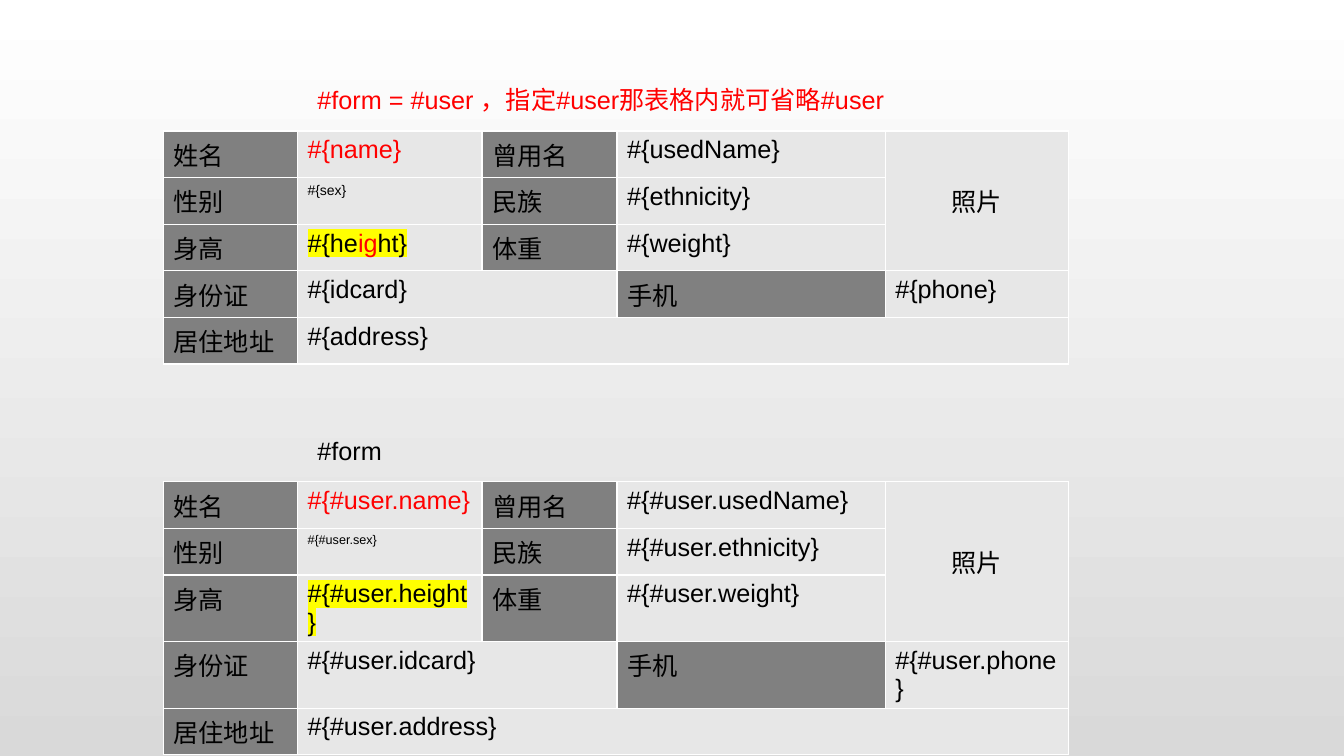
from lxml import etree
from pptx import Presentation
from pptx import util as u
from pptx.dml import color
from pptx.enum import text
from pptx.oxml import ns

COLUMN_WIDTHS = [1.33, 1.83, 1.34, 2.66, 1.82]
FORM_ROWS = [
    ["姓名", "name", "曾用名", "usedName", "照片"],
    ["性别", "sex", "民族", "ethnicity", None],
    ["身高", "height", "体重", "weight", None],
    ["身份证", "idcard", None, "手机", "phone"],
    ["居住地址", "address", None, None, None],
]
LABELS = {"姓名", "曾用名", "性别", "民族", "身高", "体重", "身份证", "手机", "居住地址"}
MERGES = [((0, 4), (2, 4)), ((3, 1), (3, 2)), ((4, 1), (4, 4))]
BLACK, RED, WHITE, YELLOW = "000000", "FF0000", "FFFFFF", "FFFF00"
LABEL_GREY, VALUE_GREY = "808080", "E7E7E7"


def rgb(value):
    return color.RGBColor.from_string(value)


def add_solid(parent, tag, value):
    holder = etree.SubElement(parent, ns.qn(tag))
    etree.SubElement(holder, ns.qn("a:srgbClr"), val=value)


def style_paragraph(para, size=18, hue=BLACK):
    para.font.name = "Arial"
    para.font.size = u.Pt(size)
    para.font.color.rgb = rgb(hue)


def add_border(cell):
    properties = cell._tc.get_or_add_tcPr()
    for side in ("L", "R", "T", "B"):
        line = etree.SubElement(properties, ns.qn(f"a:ln{side}"), w=str(u.Pt(1)))
        add_solid(line, "a:solidFill", WHITE)


def fill_cell(cell, value):
    add_border(cell)
    cell.fill.solid()
    cell.fill.fore_color.rgb = rgb(value)


def add_highlighted(para, pieces):
    for words, hue in pieces:
        span = para.add_run()
        span.text = words
        span.font.color.rgb = rgb(hue)
        add_solid(span.font._element, "a:highlight", YELLOW)


def write_cell(cell, entry, prefix, sex_size, height_pieces):
    para = cell.text_frame.paragraphs[0]
    if entry == "height":
        add_highlighted(para, height_pieces)
    elif entry in LABELS or entry == "照片":
        para.text = entry
    else:
        para.text = f"#{{{prefix}{entry}}}"
    style_paragraph(para, sex_size if entry == "sex" else 18,
                    RED if entry == "name" else BLACK)
    if entry == "照片":
        para.alignment = text.PP_ALIGN.CENTER
        cell.vertical_anchor = text.MSO_ANCHOR.MIDDLE


def add_form(page, top, row_heights, prefix, sex_size, height_pieces):
    frame = page.shapes.add_table(
        len(FORM_ROWS), len(COLUMN_WIDTHS), u.Inches(1.62), u.Inches(top),
        u.Inches(sum(COLUMN_WIDTHS)), u.Inches(sum(row_heights)))
    table = frame.table
    table.first_row = table.horz_banding = False
    for column, width in zip(table.columns, COLUMN_WIDTHS):
        column.width = u.Inches(width)
    for row, height, entries in zip(table.rows, row_heights, FORM_ROWS):
        row.height = u.Inches(height)
        for cell, entry in zip(row.cells, entries):
            fill_cell(cell, LABEL_GREY if entry in LABELS else VALUE_GREY)
            if entry:
                write_cell(cell, entry, prefix, sex_size, height_pieces)
    for first, last in MERGES:
        table.cell(*first).merge(table.cell(*last))


def add_caption(page, top, width, words, hue):
    box = page.shapes.add_textbox(
        u.Inches(3.05), u.Inches(top), u.Inches(width), u.Inches(0.4))
    box.text_frame.word_wrap = True
    box.text_frame.auto_size = text.MSO_AUTO_SIZE.SHAPE_TO_FIT_TEXT
    para = box.text_frame.paragraphs[0]
    para.text = words
    style_paragraph(para, hue=hue)


def paint_background(page):
    fill = page.background.fill
    fill.gradient()
    fill.gradient_angle = 270
    for stop, position, value in zip(fill.gradient_stops, (0, 1), (WHITE, "D9D9D9")):
        stop.position = position
        stop.color.rgb = rgb(value)


def main():
    deck = Presentation()
    deck.slide_width, deck.slide_height = u.Inches(13.33), u.Inches(7.5)
    page = deck.slides.add_slide(deck.slide_layouts[6])
    paint_background(page)
    add_form(page, 1.3, [0.42] * 5, "", 10,
             [("#{he", BLACK), ("ig", RED), ("ht}", BLACK)])
    add_form(page, 4.78, [0.43, 0.43, 0.43, 0.49, 0.43], "#user.", 9,
             [("#{#user.height}", BLACK)])
    add_caption(page, 4.27, 4.44, "#form", BLACK)
    add_caption(page, 0.79, 6.39, "#form = #user ，指定#user那表格内就可省略#user", RED)
    deck.save("out.pptx")


if __name__ == "__main__":
    main()
